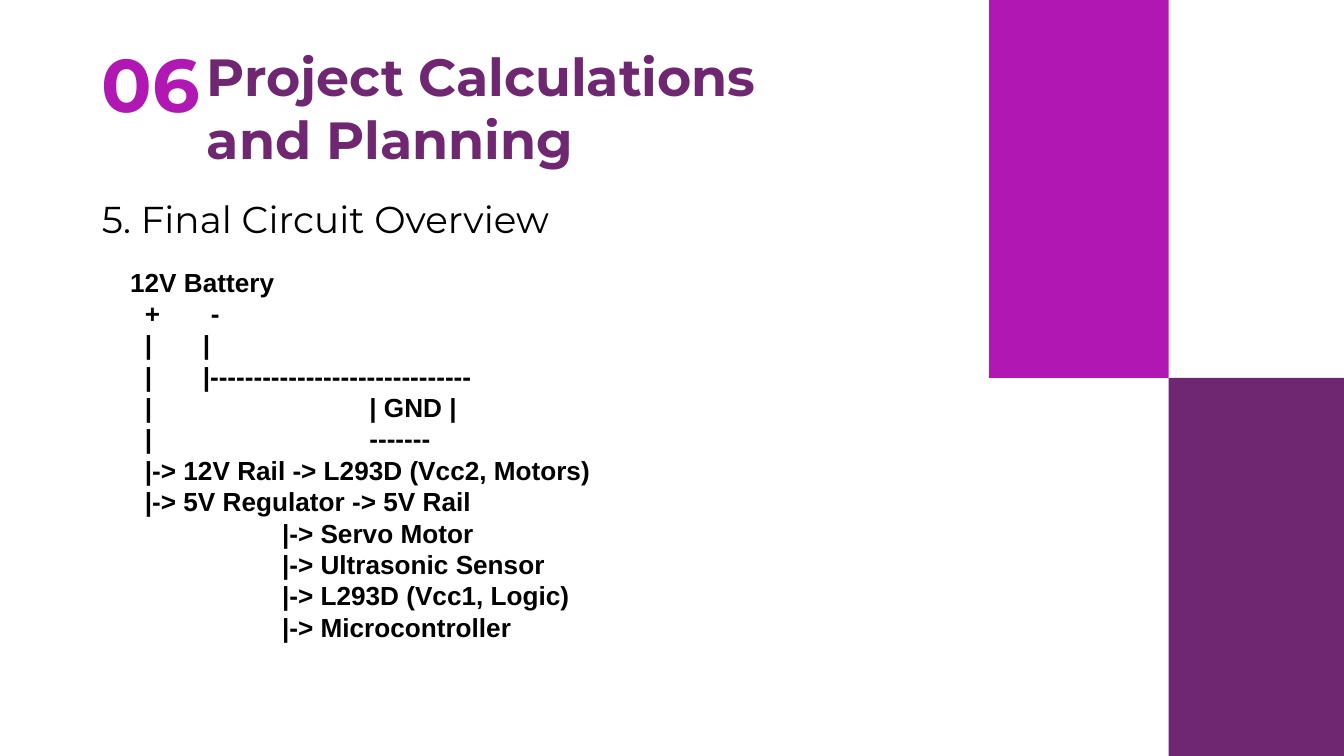
from lxml import etree
from pptx import Presentation
from pptx.dml.color import RGBColor
from pptx.enum.shapes import MSO_SHAPE
from pptx.enum.text import MSO_ANCHOR, MSO_AUTO_SIZE, PP_ALIGN
from pptx.oxml.ns import qn
from pptx.util import Inches, Pt

RECTANGLE = MSO_SHAPE.RECTANGLE
TOP, LEFT, NO_FIT = MSO_ANCHOR.TOP, PP_ALIGN.LEFT, MSO_AUTO_SIZE.NONE
COLORS = {"magenta": "B017B3", "purple": "6E2770", "black": "000000"}
PAGE_WIDTH = 10
PAGE_HEIGHT = PAGE_WIDTH * 9 / 16

PLUS, MINUS, GROUND, LOADS = 0.11, 0.54, 1.78, 1.13
CIRCUIT = [
    [(0, "12V Battery")],
    [(PLUS, "+"), (0.6, "-")],
    [(PLUS, "|"), (MINUS, "|")],
    [(PLUS, "|"), (MINUS, "|------------------------------")],
    [(PLUS, "|"), (GROUND, "| GND |")],
    [(PLUS, "|"), (GROUND, "-------")],
    [(PLUS, "|-> 12V Rail -> L293D (Vcc2, Motors)")],
    [(PLUS, "|-> 5V Regulator -> 5V Rail")],
    [(LOADS, "|-> Servo Motor")],
    [(LOADS, "|-> Ultrasonic Sensor")],
    [(LOADS, "|-> L293D (Vcc1, Logic)")],
    [(LOADS, "|-> Microcontroller")],
]


def style(para, size, color, bold, font="Montserrat"):
    """Set the alignment and font of a paragraph."""
    para.alignment = LEFT
    para.font.name = font
    para.font.size = Pt(size)
    para.font.bold = bold
    para.font.color.rgb = RGBColor.from_string(COLORS[color])


def prepare_frame(shape):
    """Make a text shape wrap from its top and return its frame."""
    frame = shape.text_frame
    frame.word_wrap = True
    frame.auto_size = NO_FIT
    frame.vertical_anchor = TOP
    return frame


def add_frame(page, left, top, width, height):
    """Add a text box and return its frame."""
    return prepare_frame(page.shapes.add_textbox(
        Inches(left), Inches(top), Inches(width), Inches(height)))


def add_blocks(page, left, top, width, height):
    """Place two coloured blocks on a diagonal of the given box."""
    block_width, block_height = width / 2, height / 2
    for step, color in enumerate(("magenta", "purple")):
        block = page.shapes.add_shape(
            RECTANGLE,
            Inches(left + step * block_width), Inches(top + step * block_height),
            Inches(block_width), Inches(block_height))
        block.shadow.inherit = False
        block.fill.solid()
        block.fill.fore_color.rgb = RGBColor.from_string(COLORS[color])
        block.line.fill.background()


def add_heading(page, left, top, width, height):
    """Place the section number, title and subtitle in the given box."""
    number = add_frame(page, left, top, 1.3, 0.77)
    number.text = "06"
    style(number.paragraphs[0], 40, "magenta", True)

    title = page.shapes.title
    title.left, title.top = Inches(left + 0.78), Inches(top + 0.05)
    title.width, title.height = Inches(width - 0.78), Inches(1.04)
    heading = prepare_frame(title)
    heading.text = "Project Calculations and Planning"
    style(heading.paragraphs[0], 28, "purple", True)

    subtitle = add_frame(page, left, top + height - 0.44, 5.01, 0.44)
    subtitle.text = "5. Final Circuit Overview"
    style(subtitle.paragraphs[0], 20, "black", False)


def add_circuit(page, left, top, width, height):
    """Draw the circuit tree as text lines aligned by tab stops."""
    frame = add_frame(page, left, top, width, height)
    for index, row in enumerate(CIRCUIT):
        para = frame.add_paragraph() if index else frame.paragraphs[0]
        para.add_run().text = "".join(
            ("\t" if stop else "") + text for stop, text in row)
        style(para, 14, "black", True, "Arial")
        stops = [stop for stop, _ in row if stop]
        if stops:
            tabs = etree.Element(qn("a:tabLst"))
            for stop in stops:
                etree.SubElement(tabs, qn("a:tab"), pos=str(Inches(stop)), algn="l")
            para._p.get_or_add_pPr().insert(0, tabs)


def main():
    """Build and save the slide."""
    deck = Presentation()
    deck.slide_width, deck.slide_height = Inches(PAGE_WIDTH), Inches(PAGE_HEIGHT)
    page = deck.slides.add_slide(deck.slide_layouts[5])
    add_blocks(page, 7.36, 0, 2.67, PAGE_HEIGHT)
    add_heading(page, 0.66, 0.23, 5.74, 1.62)
    add_circuit(page, 0.87, 1.93, 5.01, 2.93)
    deck.save("out.pptx")


if __name__ == "__main__":
    main()
